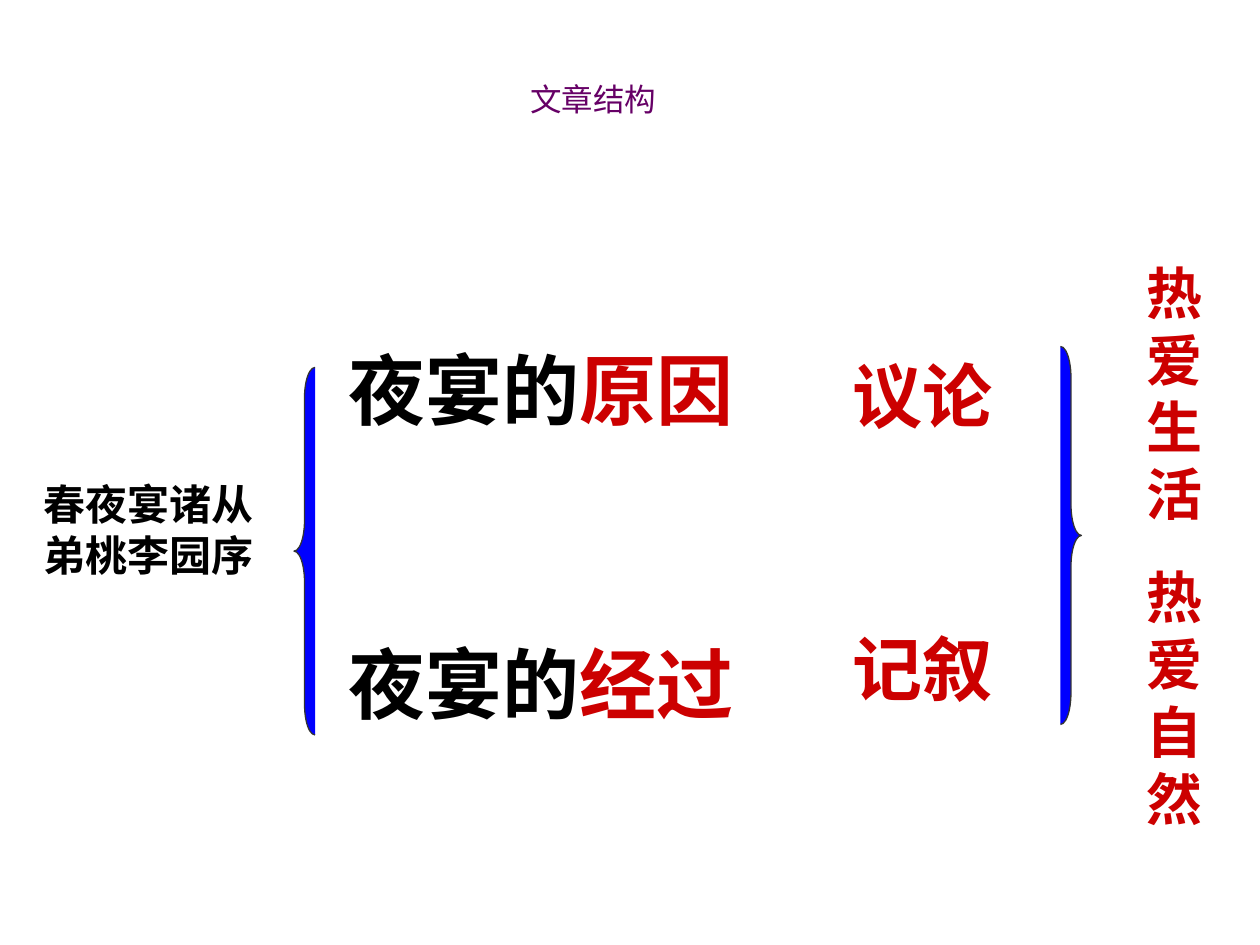
from dataclasses import dataclass

from pptx import Presentation
from pptx import util as u
from pptx.dml.color import RGBColor
from pptx.enum import shapes, text
from pptx.oxml.ns import qn

HUES = {"ink": "000000", "red": "CC0000", "blue": "0000FF",
        "edge": "333333", "plum": "660066"}


@dataclass
class Label:
    left: float
    top: float
    width: float
    height: float
    size: float
    runs: tuple


@dataclass
class Brace:
    kind: shapes.MSO_SHAPE
    left: float
    top: float
    width: float
    height: float


LABELS = (
    Label(18, 270, 156, 64.8, 24, (("春夜宴诸从弟桃李园序", "ink"),)),
    Label(192, 192, 258, 60.5, 44, (("夜宴的", "ink"), ("原因", "red"))),
    Label(192, 360, 283, 60.5, 44, (("夜宴的", "ink"), ("经过", "red"))),
    Label(480, 198, 102, 55.5, 40, (("议论", "red"),)),
    Label(480, 354, 108, 55.5, 40, (("记叙", "red"),)),
    Label(648, 144, 48, 161.3, 32, (("热爱生活", "red"),)),
    Label(648, 318, 48, 161.3, 32, (("热爱自然", "red"),)),
)
BRACES = (
    Brace(shapes.MSO_SHAPE.LEFT_BRACE, 168, 210, 12, 210),
    Brace(shapes.MSO_SHAPE.RIGHT_BRACE, 606, 198, 12, 216),
)


def hue(name: str) -> RGBColor:
    return RGBColor.from_string(HUES[name])


def place(shape, left: float, top: float, width: float, height: float) -> None:
    shape.left, shape.top = u.Pt(left), u.Pt(top)
    shape.width, shape.height = u.Pt(width), u.Pt(height)


def write(shape, runs: tuple, *, size: float, font: str = "Arial",
          bold: bool = True, wrap: bool = True,
          align=text.PP_ALIGN.LEFT) -> None:
    frame = shape.text_frame
    frame.word_wrap = wrap
    frame.auto_size = text.MSO_AUTO_SIZE.NONE
    frame.vertical_anchor = text.MSO_ANCHOR.TOP
    para = frame.paragraphs[0]
    para.alignment = align
    for words, tone in runs:
        run = para.add_run()
        run.text = words
        run.font.size = u.Pt(size)
        run.font.bold = bold
        run.font.name = font
        run.font.color.rgb = hue(tone)
        east = run.font._element.makeelement(qn("a:ea"), {"typeface": font})
        run.font._element.find(qn("a:latin")).addnext(east)


def draw_label(slide, item: Label) -> None:
    box = slide.shapes.add_textbox(0, 0, 0, 0)
    place(box, item.left, item.top, item.width, item.height)
    write(box, item.runs, size=item.size)


def draw_brace(slide, item: Brace) -> None:
    shape = slide.shapes.add_shape(item.kind, 0, 0, 0, 0)
    place(shape, item.left, item.top, item.width, item.height)
    shape.adjustments[0] = item.height / 12 / item.width
    shape.adjustments[1] = 0.5
    shape.shadow.inherit = False
    shape.fill.solid()
    shape.fill.fore_color.rgb = hue("blue")
    shape.line.color.rgb = hue("edge")
    shape.line.width = u.Pt(0.75)


def main() -> None:
    deck = Presentation()
    deck.slide_width, deck.slide_height = u.Pt(720), u.Pt(540)
    slide = deck.slides.add_slide(deck.slide_layouts[5])
    title = slide.shapes.title
    place(title, 180, 42, 318, 72)
    write(title, (("文章结构", "plum"),), size=18, font="Noto Sans CJK SC",
          bold=False, wrap=False, align=text.PP_ALIGN.CENTER)
    for item in LABELS:
        draw_label(slide, item)
    for item in BRACES:
        draw_brace(slide, item)
    deck.save("out.pptx")


if __name__ == "__main__":
    main()
